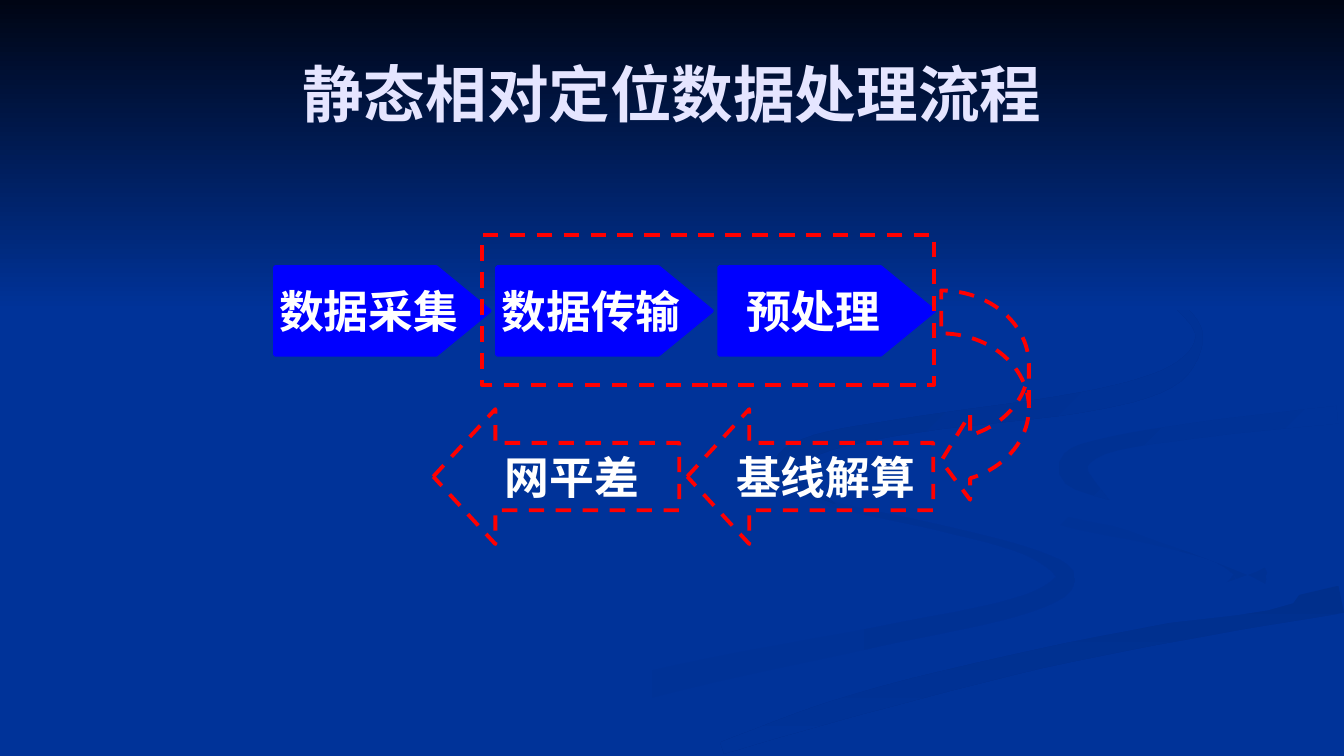
from dataclasses import dataclass
from math import hypot

from pptx import Presentation
from pptx.dml.color import RGBColor
from pptx.enum.dml import MSO_LINE
from pptx.enum.shapes import MSO_SHAPE as SHAPE
from pptx.enum.text import MSO_ANCHOR as ANCHOR, MSO_AUTO_SIZE as AUTO_SIZE, PP_ALIGN as ALIGN
from pptx.util import Cm, Pt

FONT = "Times New Roman"
SKY = RGBColor(0x00, 0x33, 0x99)
NIGHT = RGBColor(0x00, 0x05, 0x14)
DUSK = RGBColor(0x00, 0x31, 0x93)
SHADE = RGBColor(0x00, 0x2F, 0x8C)
LILAC = RGBColor(0xE5, 0xE5, 0xFF)
BLUE = RGBColor(0x00, 0x00, 0xFF)
RED = RGBColor(0xFF, 0x00, 0x00)
WHITE = RGBColor(0xFF, 0xFF, 0xFF)

RIGHTWARD, DIAGONAL, DOWNWARD = 0, 315, 270
UNITS_PER_CM = 100
STEPS_PER_KNOT = 6


@dataclass
class Ribbon:
    start: RGBColor
    end: RGBColor
    angle: int
    knots: list  # (x, y, width)


RIBBONS = [
    Ribbon(SKY, DUSK, RIGHTWARD, [
        (19.4, 11.9, 0.2), (20.8, 12.65, 0.15), (23.6, 13.28, 0.15), (25.9, 13.9, 0.2),
        (26.85, 14.6, 0.5), (25.6, 15.3, 0.45), (22.1, 16.05, 0.5), (17, 17.1, 0.65),
        (11.2, 18.6, 0.8)]),
    Ribbon(SKY, DUSK, DIAGONAL, [
        (24.5, 11.8, 0), (25.1, 12.5, 0.2), (26.9, 13.15, 0.25), (29.2, 13.6, 0.3),
        (30.9, 14.05, 0.45), (31.5, 14.6, 0.85), (30.25, 15.35, 0)]),
    Ribbon(SHADE, SKY, DOWNWARD, [
        (18.2, 18.85, 0.3), (21.6, 17.75, 0.55), (26.2, 16.6, 0.5), (30.5, 15.75, 0.5),
        (33.8, 15.1, 0.7)]),
    Ribbon(SKY, SKY, RIGHTWARD, [
        (33.7, 10.05, 0.4), (28.5, 10.65, 0.4), (25.6, 11.65, 1.6), (28.6, 12.95, 0.9),
        (32.5, 14.5, 1.2), (28.5, 15.6, 0.5), (23, 16.75, 0.6), (17, 18.6, 0.6)]),
    Ribbon(DUSK, SKY, DIAGONAL, [
        (33.7, 10.45, 0.45), (30.5, 10.8, 0.4), (27.8, 11.25, 0.4), (27.05, 11.85, 0.75),
        (27.95, 12.6, 0)]),
    Ribbon(SHADE, SKY, DIAGONAL, [
        (25.85, 5.9, 0), (28.4, 6.95, 0.1), (29.85, 7.85, 0.2), (30.2, 8.65, 0.2),
        (29.4, 9.55, 0.5), (27.2, 10.15, 0.5), (23.1, 10.7, 0.4), (20.6, 11.2, 0.5),
        (19.8, 11.85, 0.55), (21.05, 12.7, 0)]),
]


def catmull_rom(a, b, c, d, t):
    return (2 * b + (c - a) * t + (2 * a - 5 * b + 4 * c - d) * t ** 2
            + (3 * b - a - 3 * c + d) * t ** 3) / 2


def smooth(knots):
    padded = [knots[0], *knots, knots[-1]]
    curve = []
    for four in zip(padded, padded[1:], padded[2:], padded[3:]):
        for step in range(STEPS_PER_KNOT):
            t = step / STEPS_PER_KNOT
            curve.append(tuple(catmull_rom(*values, t) for values in zip(*four)))
    return curve + [knots[-1]]


def ribbon_outline(knots):
    curve = smooth(knots)
    left, right = [], []
    for i, (x, y, width) in enumerate(curve):
        before, after = curve[max(i - 1, 0)], curve[min(i + 1, len(curve) - 1)]
        dx, dy = after[0] - before[0], after[1] - before[1]
        half = max(width, 0) / 2 / hypot(dx, dy)
        left.append((x - dy * half, y + dx * half))
        right.append((x + dy * half, y - dx * half))
    return [(round(x * UNITS_PER_CM), round(y * UNITS_PER_CM)) for x, y in left + right[::-1]]


def shade(sp, start, end, angle):
    sp.shadow.inherit = False
    sp.line.fill.background()
    sp.fill.gradient()
    sp.fill.gradient_angle = angle
    for stop, color in zip(sp.fill.gradient_stops, (start, end)):
        stop.color.rgb = color


def add_ribbon(s, ribbon):
    first, *others = ribbon_outline(ribbon.knots)
    builder = s.shapes.build_freeform(*first, scale=Cm(1) / UNITS_PER_CM)
    builder.add_line_segments(others, close=True)
    shade(builder.convert_to_shape(), ribbon.start, ribbon.end, ribbon.angle)


def add_backdrop(s, prs):
    s.background.fill.solid()
    s.background.fill.fore_color.rgb = SKY
    for ribbon in RIBBONS:
        add_ribbon(s, ribbon)
    band = s.shapes.add_shape(SHAPE.RECTANGLE, 0, 0, prs.slide_width, Cm(7.82))
    shade(band, NIGHT, SKY, DOWNWARD)


def set_text(sp, text, size, color):
    tf = sp.text_frame
    tf.text = text
    tf.vertical_anchor = ANCHOR.MIDDLE
    p = tf.paragraphs[0]
    p.alignment = ALIGN.CENTER
    font = p.runs[0].font
    font.name, font.size, font.bold = FONT, Pt(size), True
    font.color.rgb = color


def add_title(s, text):
    title = s.shapes.title
    title.left, title.top, title.width, title.height = map(Cm, (1.7, 0.76, 30.48, 3.18))
    set_text(title, text, 44, LILAC)
    title.text_frame.word_wrap = True
    title.text_frame.auto_size = AUTO_SIZE.NONE
    s.shapes.element.append(title.element)


def add_figure(s, kind, box, color, adjustments=()):
    sp = s.shapes.add_shape(kind, *map(Cm, box))
    sp.shadow.inherit = False
    for i, value in enumerate(adjustments):
        sp.adjustments[i] = value
    sp.line.color.rgb = color
    sp.line.width = Pt(2.75)
    return sp


def add_dashed(s, kind, box, adjustments=()):
    sp = add_figure(s, kind, box, RED, adjustments)
    sp.fill.background()
    sp.line.dash_style = MSO_LINE.DASH
    return sp


def add_solid(s, kind, box, adjustments=()):
    sp = add_figure(s, kind, box, BLUE, adjustments)
    sp.fill.solid()
    sp.fill.fore_color.rgb = BLUE
    return sp


def label(sp, text):
    set_text(sp, text, 32, WHITE)
    sp.text_frame.word_wrap = False


def add_flow(s):
    for i, step in enumerate(["数据采集", "数据传输", "预处理"]):
        box = (6.93 + 5.6 * i, 6.73, 5.41, 2.21)
        label(add_solid(s, SHAPE.PENTAGON, box, [0.61]), step)
    add_dashed(s, SHAPE.CURVED_LEFT_ARROW, (23.72, 7.32, 2.21, 5.38), [0.49, 0.98, 0.33])
    for i, step in enumerate(["基线解算", "网平差"]):
        box = (17.32 - 6.4 * i, 10.31, 6.2, 3.4)
        label(add_dashed(s, SHAPE.LEFT_ARROW, box, [0.5, 0.46]), step)
    add_dashed(s, SHAPE.RECTANGLE, (12.14, 5.92, 11.4, 3.78))


def main():
    prs = Presentation()
    prs.slide_width, prs.slide_height = Cm(33.87), Cm(19.05)
    s = prs.slides.add_slide(prs.slide_layouts[5])
    add_backdrop(s, prs)
    add_title(s, "静态相对定位数据处理流程")
    add_flow(s)
    prs.save("out.pptx")


if __name__ == "__main__":
    main()
